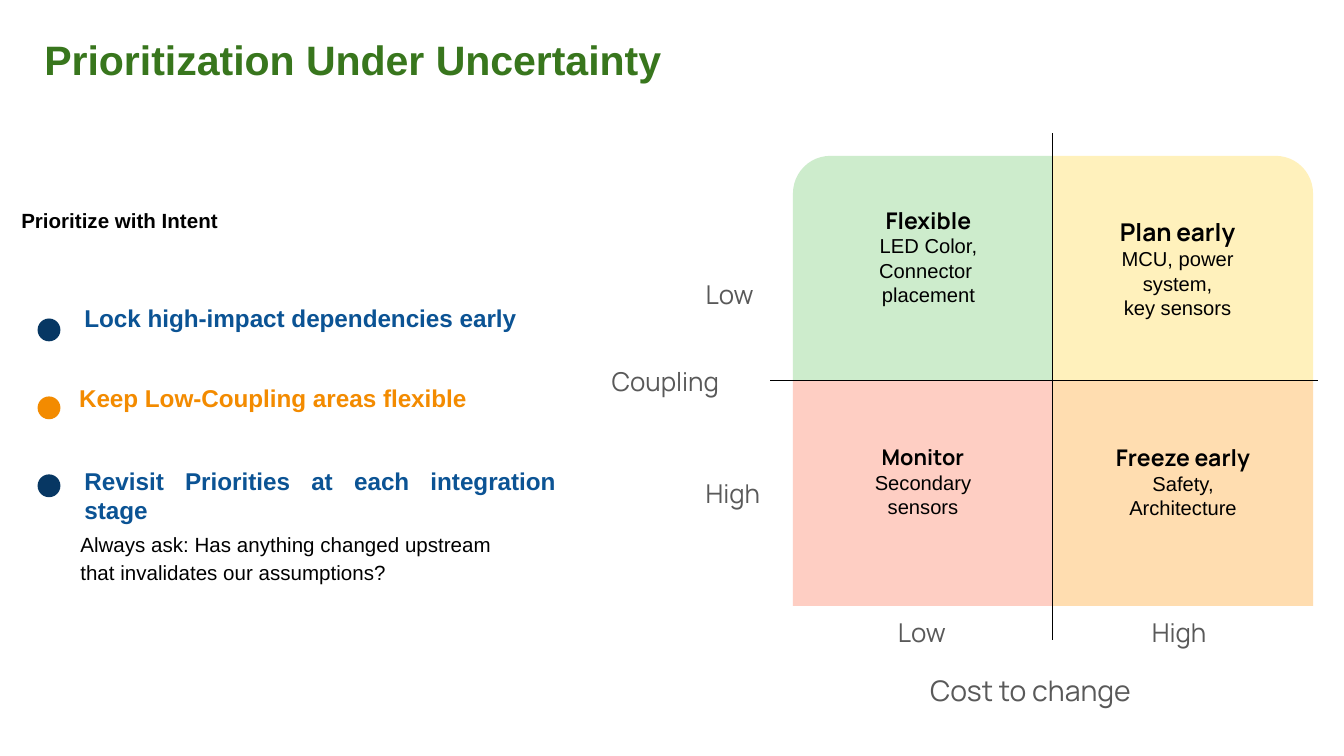
from lxml import etree
from pptx import Presentation
from pptx.dml.color import RGBColor
from pptx.enum.shapes import MSO_CONNECTOR, MSO_SHAPE
from pptx.enum.text import MSO_ANCHOR, MSO_AUTO_SIZE, PP_ALIGN
from pptx.oxml.ns import qn
from pptx.util import Inches, Pt

LEFT, CENTER, JUSTIFY = PP_ALIGN.LEFT, PP_ALIGN.CENTER, PP_ALIGN.JUSTIFY
TOP, MIDDLE = MSO_ANCHOR.TOP, MSO_ANCHOR.MIDDLE
ELLIPSE, RECTANGLE = MSO_SHAPE.OVAL, MSO_SHAPE.RECTANGLE
ROUNDED_CORNER = MSO_SHAPE.ROUND_1_RECTANGLE
STRAIGHT = MSO_CONNECTOR.STRAIGHT

BLACK = RGBColor(0x00, 0x00, 0x00)
GRAY = RGBColor(0x59, 0x59, 0x59)
TITLE_GREEN = RGBColor(0x38, 0x76, 0x1D)
BLUE = RGBColor(0x0B, 0x53, 0x94)
NAVY = RGBColor(0x07, 0x37, 0x63)
ORANGE = RGBColor(0xF3, 0x8B, 0x00)
PALE_GREEN = RGBColor(0xCD, 0xEC, 0xCC)
PALE_YELLOW = RGBColor(0xFF, 0xF1, 0xBC)
PALE_RED = RGBColor(0xFE, 0xCE, 0xC3)
PALE_ORANGE = RGBColor(0xFF, 0xDD, 0xB0)

BODY_FONT, MATRIX_FONT = "Arial", "Manrope"
TEXT_INSET, MATRIX_INSET = 0.1, 0.08

# Content
TITLE = "Prioritization Under Uncertainty"
HEADING = "Prioritize with Intent"
QUESTION = "Always ask: Has anything changed upstream that invalidates our assumptions?"

# text, text colour, dot colour, alignment, left, top, width
PRIORITIES = [
    ("Lock high-impact dependencies early", BLUE, NAVY, LEFT, 0.53, 2.16, 4.7),
    ("Keep Low-Coupling areas flexible", ORANGE, ORANGE, JUSTIFY, 0.49, 2.75, 3.7),
    ("Revisit Priorities at each integration stage", BLUE, NAVY, JUSTIFY, 0.53, 3.37, 3.7),
]

# rows of cells: name, name size, examples, fill, extra space below the text
QUADRANTS = [
    [("Flexible", 12.3, ["LED Color,", "Connector ", "placement"], PALE_GREEN, 0.18),
     ("Plan early", 13.1, ["MCU, power", "system,", "key sensors"], PALE_YELLOW, 0)],
    [("Monitor", 11.6, ["Secondary", "sensors"], PALE_RED, 0.18),
     ("Freeze early", 12.3, ["Safety,", "Architecture"], PALE_ORANGE, 0.18)],
]

# text, size, left, top, width
AXIS_LABELS = [
    ("Low", 13.9, 5.17, 1.99, 0.55),
    ("High", 13.9, 5.17, 3.47, 0.61),
    ("Low", 13.9, 6.6, 4.51, 0.55),
    ("High", 13.9, 8.49, 4.51, 0.61),
    ("Coupling", 13.9, 4.47, 2.64, 1.15),
    ("Cost to change", 15.2, 6.84, 4.93, 2.02),
]

# Geometry in inches
SLIDE_W = 10
SLIDE_H = SLIDE_W * 9 / 16
DOT_LEFT, DOT_TOP, DOT_PITCH, DOT_SIZE = 0.28, 2.37, 0.58, 0.17
MATRIX_LEFT, MATRIX_RIGHT, MATRIX_TOP, MATRIX_BOTTOM = 5.9, 9.77, 1.16, 4.51
CELL_W = (MATRIX_RIGHT - MATRIX_LEFT) / 2
CELL_H = (MATRIX_BOTTOM - MATRIX_TOP) / 2
CENTER_X, CENTER_Y = 7.83, MATRIX_TOP + CELL_H

prs = Presentation()
prs.slide_width, prs.slide_height = Inches(SLIDE_W), Inches(SLIDE_H)
slide = prs.slides.add_slide(prs.slide_layouts[5])
shapes = slide.shapes


def box(left, top, width, height):
    return [Inches(v) for v in (left, top, width, height)]


def setup_frame(frame, inset, anchor=TOP, extra_bottom=0):
    frame.word_wrap = True
    frame.auto_size = MSO_AUTO_SIZE.NONE
    frame.vertical_anchor = anchor
    frame.margin_left = frame.margin_right = frame.margin_top = Inches(inset)
    frame.margin_bottom = Inches(inset + extra_bottom)


def write(paragraph, text, size, color, font=BODY_FONT, bold=False, align=LEFT):
    paragraph.alignment = align
    run = paragraph.add_run()
    run.text = text
    run.font.name, run.font.size, run.font.bold = font, Pt(size), bold
    run.font.color.rgb = color


def add_text(place, text, size, color, inset=TEXT_INSET, spacing=None, **style):
    frame = shapes.add_textbox(*box(*place)).text_frame
    setup_frame(frame, inset)
    paragraph = frame.paragraphs[0]
    if spacing:
        paragraph.line_spacing = spacing
    write(paragraph, text, size, color, **style)


def add_filled(kind, place, fill):
    shape = shapes.add_shape(kind, *box(*place))
    shape.shadow.inherit = False
    shape.fill.solid()
    shape.fill.fore_color.rgb = fill
    shape.line.fill.background()
    return shape


def add_axis(*ends):
    axis = shapes.add_connector(STRAIGHT, *box(*ends))
    axis.line.color.rgb, axis.line.width = BLACK, Pt(0.58)
    etree.SubElement(axis._element.spPr, qn("a:effectLst"))


# Title
title = shapes.title
title.left, title.top, title.width, title.height = box(0.23, 0.16, 5.53, 0.5)
setup_frame(title.text_frame, TEXT_INSET)
write(title.text_frame.paragraphs[0], TITLE, 22, TITLE_GREEN, bold=True)

# Priorities with their dots
add_text((0.06, 1.42, 3.28, 0.39), HEADING, 11, BLACK, spacing=1.15, bold=True)
for i, (text, color, dot_color, align, left, top, width) in enumerate(PRIORITIES):
    add_text((left, top, width, 0.74), text, 13, color, bold=True, align=align)
    add_filled(ELLIPSE, (DOT_LEFT, DOT_TOP + i * DOT_PITCH, DOT_SIZE, DOT_SIZE), dot_color)
add_text((0.5, 3.83, 3.53, 0.6), QUESTION, 11, BLACK, spacing=1.15)

# Matrix cells, the top left one mirrored to round its outer corner
for row, cells in enumerate(QUADRANTS):
    for col, (name, name_size, examples, fill, extra_bottom) in enumerate(cells):
        place = (MATRIX_LEFT + col * CELL_W, MATRIX_TOP + row * CELL_H, CELL_W, CELL_H)
        quadrant = add_filled(RECTANGLE if row else ROUNDED_CORNER, place, fill)
        if row == 0 and col == 0:
            quadrant._element.spPr.xfrm.set("flipH", "1")
        frame = quadrant.text_frame
        setup_frame(frame, MATRIX_INSET, MIDDLE, extra_bottom)
        write(frame.paragraphs[0], name, name_size, BLACK, MATRIX_FONT, True, CENTER)
        for example in examples:
            write(frame.add_paragraph(), example, 10.8, BLACK, align=CENTER)

# Axes and their labels
add_axis(5.73, CENTER_Y, 9.81, CENTER_Y)
add_axis(CENTER_X, 0.99, CENTER_X, 4.76)
for text, size, left, top, width in AXIS_LABELS:
    add_text((left, top, width, 0.39), text, size, GRAY, MATRIX_INSET, font=MATRIX_FONT)

prs.save("out.pptx")
